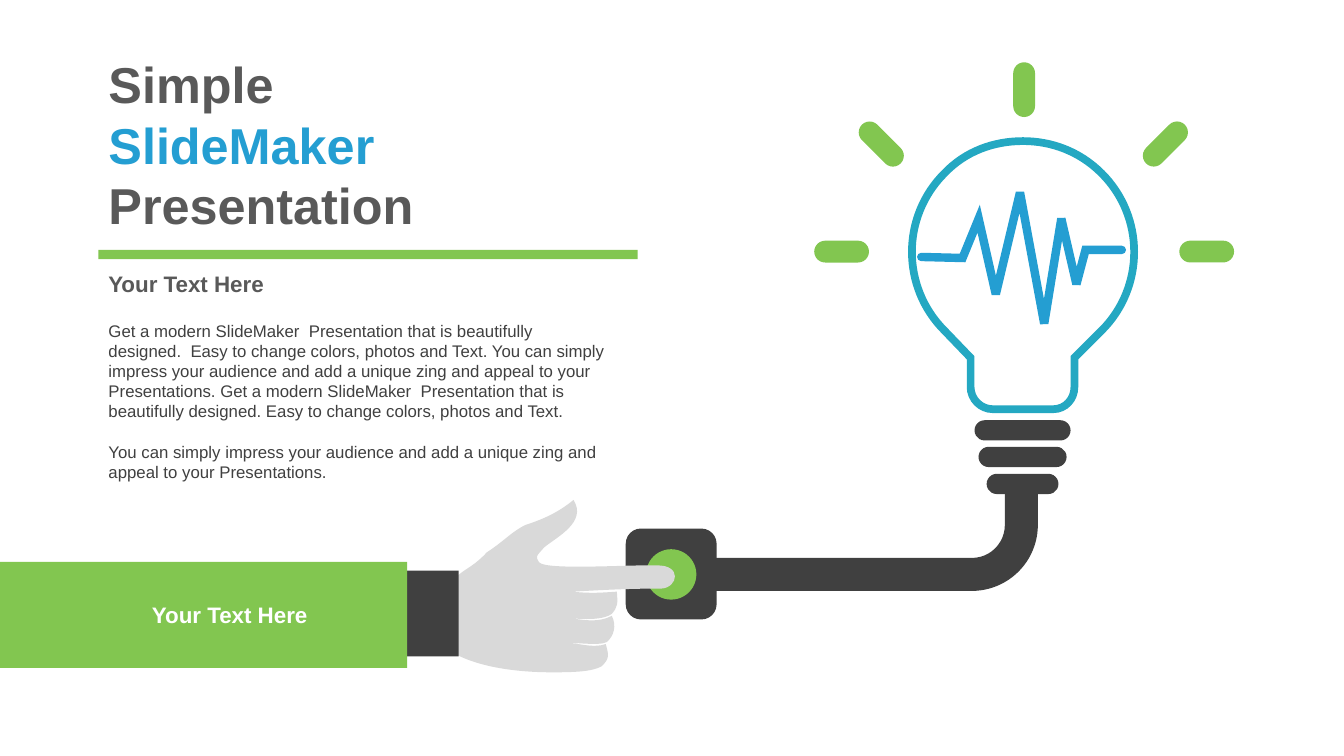
from dataclasses import dataclass
from typing import NamedTuple

from lxml.etree import SubElement
from pptx import Presentation
from pptx.dml.color import RGBColor
from pptx.enum.shapes import MSO_SHAPE
from pptx.enum.text import MSO_ANCHOR, MSO_AUTO_SIZE, PP_ALIGN
from pptx.oxml.ns import qn
from pptx.shapes.autoshape import Shape
from pptx.shapes.shapetree import SlideShapes
from pptx.text.text import TextFrame
from pptx.util import Cm, Pt


@dataclass(frozen=True)
class Theme:
    font: str = "Arial"
    title_size: int = 36
    heading_size: int = 16
    body_size: int = 12
    leading: float = 1.2
    dark: RGBColor = RGBColor(0x40, 0x40, 0x40)
    grey: RGBColor = RGBColor(0x59, 0x59, 0x59)
    skin: RGBColor = RGBColor(0xD9, 0xD9, 0xD9)
    green: RGBColor = RGBColor(0x82, 0xC6, 0x50)
    blue: RGBColor = RGBColor(0x24, 0x9E, 0xD2)
    teal: RGBColor = RGBColor(0x24, 0xA8, 0xC2)
    white: RGBColor = RGBColor(0xFF, 0xFF, 0xFF)


class Box(NamedTuple):
    left: float
    top: float
    width: float
    height: float


class Ray(NamedTuple):
    dx: float
    dy: float
    angle: int


class Rib(NamedTuple):
    top: float
    width: float


THEME = Theme()
PATH_UNIT = Cm(2.54) / 100
COPY_LEFT = 2.48
BULB_CENTRE = (25.81, 6.34)
RIB_CENTRE = 25.77
RAY_WIDTH, RAY_LENGTH = 0.55, 1.38
RIB_HEIGHT = 0.51

RAYS = [
    Ray(-4.6, 0, 270),
    Ray(-3.6, -2.71, 315),
    Ray(0, -4.08, 0),
    Ray(3.56, -2.71, 45),
    Ray(4.6, 0, 90),
]
RIBS = [Rib(10.59, 2.42), Rib(11.26, 2.22), Rib(11.94, 1.81)]

BULB = [
    (1015, 140), (1043, 140, 1071, 150, 1093, 172),
    (1136, 215, 1136, 285, 1093, 328), (1066, 355), (1066, 384),
    (1066, 396, 1057, 406, 1045, 406), (1015, 406), (1014, 406), (985, 406),
    (973, 406, 963, 396, 963, 384), (963, 355), (937, 328),
    (894, 285, 894, 215, 937, 172), (958, 150, 986, 140, 1015, 140),
]
PULSE = [
    (914, 255), (955, 256), (971, 217), (988, 292), (1012, 191),
    (1036, 321), (1053, 217), (1068, 282), (1077, 248), (1113, 248),
]
HAND = [
    (569, 496), (552, 510, 536, 516, 521, 521), (507, 528, 500, 537, 483, 548),
    (472, 560, 463, 564, 458, 568), (448, 577, 444, 572, 432, 572), (432, 647),
    (439, 645, 441, 643, 452, 649), (486, 667, 537, 667, 549, 667),
    (573, 667, 588, 666, 597, 661), (605, 653, 604, 650, 601, 639),
    (590, 643, 576, 639, 567, 638), (567, 637, 595, 641, 602, 637),
    (609, 631, 612, 621, 607, 611), (594, 618, 580, 615, 570, 614),
    (570, 613, 596, 617, 607, 609), (613, 602, 613, 599, 612, 587),
    (596, 588, 587, 589, 568, 587), (619, 584, 638, 584, 656, 584),
    (673, 583, 677, 560, 651, 561), (627, 560, 542, 566, 535, 558),
    (531, 552, 532, 552, 540, 543), (552, 533, 583, 518, 569, 496),
]

TITLE = [("Simple ", THEME.grey), ("SlideMaker ", THEME.blue), ("Presentation", THEME.grey)]
HEADING = "Your Text Here"
BODY = [
    "Get a modern SlideMaker  Presentation that is beautifully designed.  "
    "Easy to change colors, photos and Text. You can simply impress your audience "
    "and add a unique zing and appeal to your Presentations. Get a modern "
    "SlideMaker  Presentation that is beautifully designed. Easy to change "
    "colors, photos and Text.",
    "You can simply impress your audience and add a unique zing and appeal to "
    "your Presentations.",
]


def place(shape: Shape, box: Box) -> None:
    shape.left, shape.top, shape.width, shape.height = map(Cm, box)


def add_solid(shapes: SlideShapes, kind: MSO_SHAPE, box: Box, color: RGBColor,
              adjustments: tuple[float, ...] = (), angle: int = 0) -> Shape:
    solid = shapes.add_shape(kind, *map(Cm, box))
    solid.shadow.inherit = False
    solid.fill.solid()
    solid.fill.fore_color.rgb = color
    solid.line.fill.background()
    solid.rotation = angle
    for index, value in enumerate(adjustments):
        solid.adjustments[index] = value
    return solid


def add_outline(shapes: SlideShapes, segments: list[tuple[int, ...]], closed: bool) -> Shape:
    points = [(segment[i] * PATH_UNIT, segment[i + 1] * PATH_UNIT)
              for segment in segments for i in range(0, len(segment), 2)]
    builder = shapes.build_freeform(*points[0])
    builder.add_line_segments(points[1:], close=closed)
    outlined = builder.convert_to_shape()
    steps = iter(list(outlined._element.iter(qn("a:lnTo"))))
    for segment in segments[1:]:
        step = next(steps)
        if len(segment) == 6:
            curve = step.makeelement(qn("a:cubicBezTo"))
            step.addprevious(curve)
            for control in (step, next(steps), next(steps)):
                curve.append(control[0])
                control.getparent().remove(control)
    outlined.shadow.inherit = False
    outlined.fill.background()
    outlined.line.fill.background()
    return outlined


def stroke(shape: Shape, color: RGBColor, width: float, cap: str = "flat") -> None:
    shape.line.color.rgb = color
    shape.line.width = Pt(width)
    line = shape.line._get_or_add_ln()
    line.set("cap", cap)
    SubElement(line, qn("a:miter"), lim="800000")


def format_text(frame: TextFrame, size: int, color: RGBColor, bold: bool = False,
                align: PP_ALIGN = PP_ALIGN.LEFT) -> None:
    frame.word_wrap = True
    frame.auto_size = MSO_AUTO_SIZE.NONE
    frame.vertical_anchor = MSO_ANCHOR.TOP
    for paragraph in frame.paragraphs:
        paragraph.alignment = align
        paragraph.line_spacing = Pt(size * THEME.leading)
        paragraph.space_before = Pt(0)
        paragraph.font.name = THEME.font
        paragraph.font.size = Pt(size)
        paragraph.font.bold = bold
        paragraph.font.color.rgb = color


def add_heading(shapes: SlideShapes, box: Box, color: RGBColor, align: PP_ALIGN) -> None:
    heading = shapes.add_textbox(*map(Cm, box))
    heading.text_frame.text = HEADING
    format_text(heading.text_frame, THEME.heading_size, color, True, align)


def add_copy(shapes: SlideShapes) -> None:
    title, body = shapes.title, shapes.placeholders[1]
    place(title, Box(COPY_LEFT, 1.22, 9.96, 4.88))
    for words, color in TITLE:
        run = title.text_frame.paragraphs[0].add_run()
        run.text = words
        run.font.color.rgb = color
    format_text(title.text_frame, THEME.title_size, THEME.grey, True)

    place(body, Box(COPY_LEFT, 7.95, 13.03, 4.37))
    body.text_frame.text = "\n".join(BODY)
    format_text(body.text_frame, THEME.body_size, THEME.dark)
    for paragraph in body.text_frame.paragraphs:
        properties = paragraph._p.get_or_add_pPr()
        properties.set("marL", "0")
        properties.set("indent", "0")
        properties.insert_element_before(
            properties.makeelement(qn("a:buNone")), "a:tabLst", "a:defRPr", "a:extLst")
    body.text_frame.paragraphs[1].space_before = Pt(THEME.body_size * THEME.leading)

    add_heading(shapes, Box(COPY_LEFT, 6.68, 13.21, 0.94), THEME.grey, PP_ALIGN.LEFT)
    add_solid(shapes, MSO_SHAPE.RECTANGLE, Box(COPY_LEFT, 6.3, 13.59, 0.23), THEME.green)


def add_lamp(shapes: SlideShapes) -> None:
    rounded = MSO_SHAPE.ROUNDED_RECTANGLE
    add_solid(shapes, rounded, Box(15.77, 13.32, 2.29, 2.29), THEME.dark)
    add_solid(shapes, MSO_SHAPE.OVAL, Box(16.28, 13.84, 1.27, 1.27), THEME.green)
    cable = add_solid(shapes, MSO_SHAPE.BENT_ARROW, Box(20.78, 9.43, 2.46, 8.46),
                      THEME.dark, (0.338, 0.203, 0.007, 0.676), 90)
    cable._element.spPr.find(qn("a:xfrm")).set("flipH", "1")
    stroke(add_outline(shapes, BULB, True), THEME.teal, 5.5)
    for rib in RIBS:
        box = Box(RIB_CENTRE - rib.width / 2, rib.top, rib.width, RIB_HEIGHT)
        add_solid(shapes, rounded, box, THEME.dark, (0.5,))
    for ray in RAYS:
        box = Box(BULB_CENTRE[0] + ray.dx - RAY_WIDTH / 2,
                  BULB_CENTRE[1] + ray.dy - RAY_LENGTH / 2, RAY_WIDTH, RAY_LENGTH)
        add_solid(shapes, rounded, box, THEME.green, (0.5,), ray.angle)
    stroke(add_outline(shapes, PULSE, False), THEME.blue, 6, "rnd")


def add_arm(shapes: SlideShapes) -> None:
    hand = add_outline(shapes, HAND, True)
    hand.fill.solid()
    hand.fill.fore_color.rgb = THEME.skin
    add_solid(shapes, MSO_SHAPE.RECTANGLE, Box(10.24, 14.38, 1.32, 2.16), THEME.dark)
    add_solid(shapes, MSO_SHAPE.RECTANGLE, Box(0, 14.16, 10.26, 2.67), THEME.green)
    add_heading(shapes, Box(2.54, 15.02, 6.5, 0.94), THEME.white, PP_ALIGN.CENTER)


def main() -> None:
    deck = Presentation()
    deck.slide_width, deck.slide_height = Cm(33.87), Cm(19.05)
    shapes = deck.slides.add_slide(deck.slide_layouts[1]).shapes
    add_lamp(shapes)
    add_copy(shapes)
    add_arm(shapes)
    deck.save("out.pptx")


if __name__ == "__main__":
    main()
